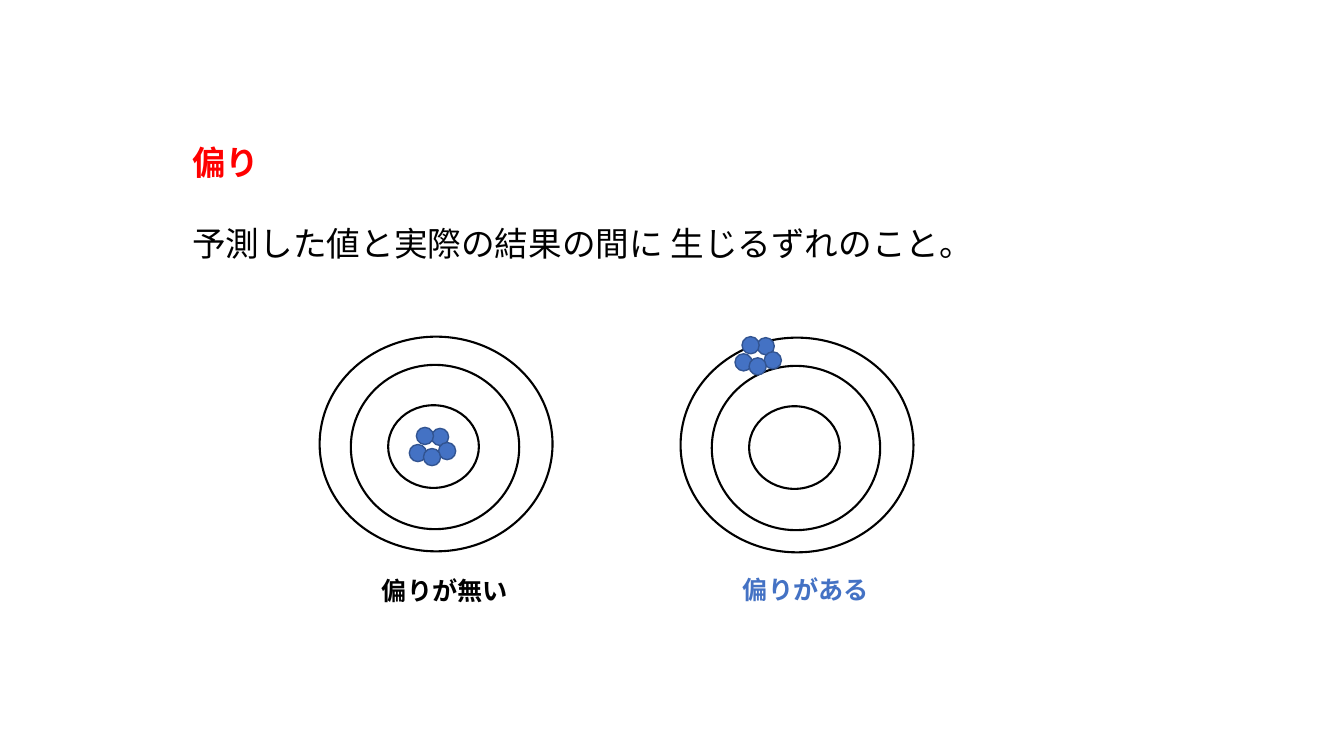
from lxml import etree
from pptx import Presentation
from pptx import util as u
from pptx.dml.color import RGBColor
from pptx.enum import shapes, text
from pptx.oxml.ns import qn

BLACK = RGBColor(0x00, 0x00, 0x00)
RED = RGBColor(0xFF, 0x00, 0x00)
BLUE = RGBColor(0x44, 0x72, 0xC4)
NAVY = RGBColor(0x32, 0x54, 0x91)
FONT = "Noto Sans CJK JP"

deck = Presentation()
deck.slide_width, deck.slide_height = u.Inches(13.33), u.Inches(7.5)
slide = deck.slides.add_slide(deck.slide_layouts[6])


def add_circle(left, top, width, height, fill, line, weight):
    circle = slide.shapes.add_shape(
        shapes.MSO_SHAPE.OVAL, *map(u.Inches, (left, top, width, height)))
    circle.shadow.inherit = False
    if fill is None:
        circle.fill.background()
    else:
        circle.fill.solid()
        circle.fill.fore_color.rgb = fill
    circle.line.color.rgb = line
    circle.line.width = u.Pt(weight)


def add_words(left, top, width, height, size, lines):
    frame = slide.shapes.add_textbox(
        *map(u.Inches, (left, top, width, height))).text_frame
    frame.word_wrap = True
    frame.auto_size = text.MSO_AUTO_SIZE.SHAPE_TO_FIT_TEXT
    frame.text = "\n".join(words for words, _, _ in lines)
    for paragraph, (_, color, bold) in zip(frame.paragraphs, lines):
        run = paragraph.runs[0]
        run.font.size = u.Pt(size)
        run.font.bold = bold
        run.font.color.rgb = color
        run.font.name = FONT
        etree.SubElement(run.font._element, qn("a:ea")).set("typeface", FONT)
    return frame


definition = add_words(1.81, 1.36, 10.93, 1.31, 24, [
    ("偏り", RED, True),
    ("予測した値と実際の結果の間に 生じるずれのこと。", BLACK, False)])
definition.paragraphs[1].space_before = u.Pt(28.8)

rings = [(0, 0, 2.31, 2.13), (0.31, 0.28, 1.67, 1.63), (0.68, 0.68, 0.9, 0.82)]
hits = [(0.22, 0.01), (0.07, 0), (0.29, 0.15), (0, 0.17), (0.14, 0.21)]
HIT_SIZE = 0.17

targets = [
    (6.75, 3.35, 7.29, 3.34, "偏りがある", 7.27, 5.65, BLUE),
    (3.17, 3.34, 4.06, 4.24, "偏りが無い", 3.69, 5.66, BLACK),
]
for left, top, hits_left, hits_top, caption, caption_left, caption_top, color in targets:
    for dx, dy, width, height in rings:
        add_circle(left + dx, top + dy, width, height, None, BLACK, 1.5)
    for dx, dy in hits:
        add_circle(hits_left + dx, hits_top + dy, HIT_SIZE, HIT_SIZE, BLUE, NAVY, 1)
    add_words(caption_left, caption_top, 1.79, 0.4, 18, [(caption, color, True)])

deck.save("out.pptx")
